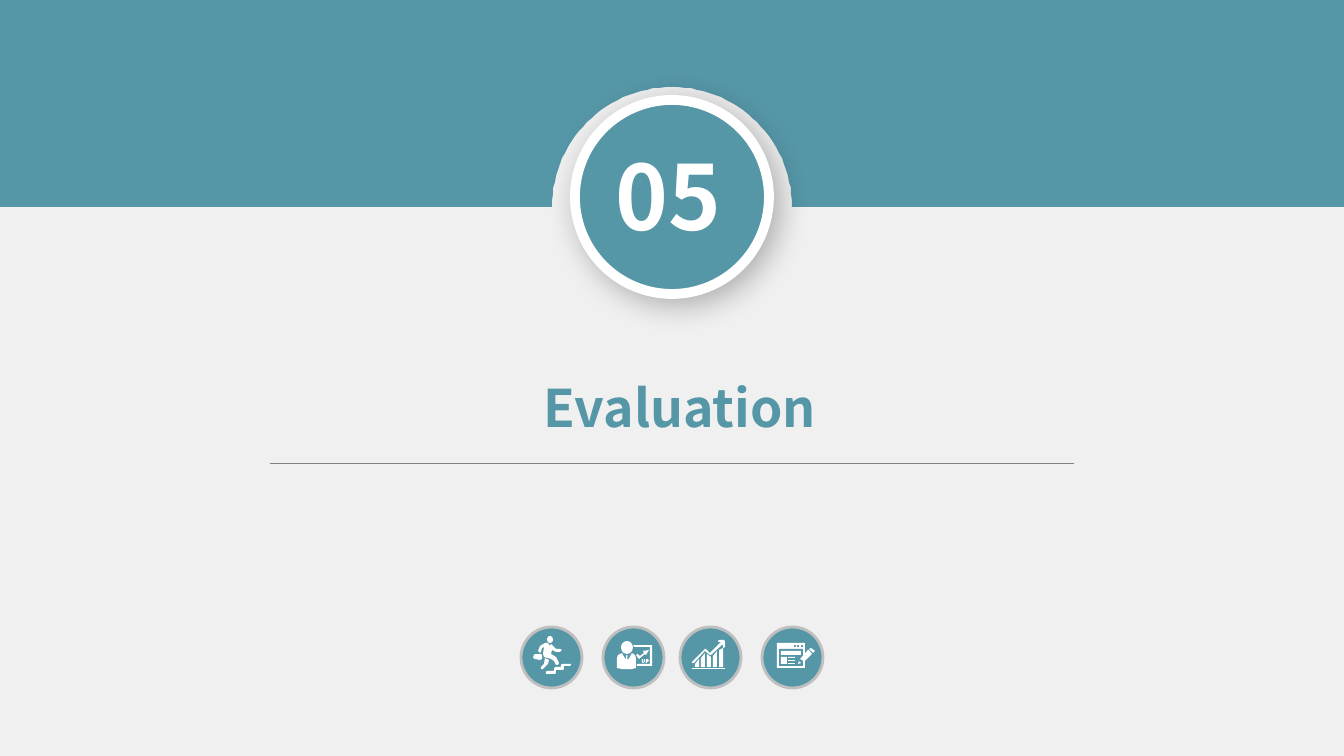
import math

from lxml import etree
from pptx import Presentation
from pptx.dml.color import RGBColor
from pptx.enum.shapes import MSO_CONNECTOR, MSO_SHAPE
from pptx.enum.text import MSO_ANCHOR, PP_ALIGN
from pptx.oxml.ns import qn
from pptx.util import Pt

SLIDE_WIDTH, SLIDE_HEIGHT = 1344, 756
SCALE = 12192000 / SLIDE_WIDTH
TEAL = RGBColor(0x55, 0x96, 0xA7)
WHITE = RGBColor(0xFF, 0xFF, 0xFF)
BACKGROUND = RGBColor(0xF0, 0xF0, 0xF0)
RING_GRAY = RGBColor(0xBF, 0xBF, 0xBF)
RULE_GRAY = RGBColor(0x80, 0x80, 0x80)
FONT = "Noto Sans CJK SC"
OVAL, RECTANGLE = MSO_SHAPE.OVAL, MSO_SHAPE.RECTANGLE
STRAIGHT = MSO_CONNECTOR.STRAIGHT
CENTER, MIDDLE = PP_ALIGN.CENTER, MSO_ANCHOR.MIDDLE

BADGE_TOP, BADGE_SIZE = 627, 61
STAIRS = [(26, 44), (33, 44), (33, 42), (34, 40), (40, 40), (40, 38), (41, 37), (50, 37), (50, 38),
          (49, 39), (43, 39), (43, 42), (42, 43), (35, 43), (35, 46), (34, 47), (25, 47), (25, 45)]
BRIEFCASE = [(14, 32), (19, 33), (21, 32), (21, 28), (20, 27), (14, 27), (13, 28), (12, 31)]
REAR_LEG = [(20, 40), (23, 37), (24, 31), (28, 33), (27, 37), (22, 42), (20, 42)]
RUNNER = [(30, 17), (32, 19), (35, 22), (39, 22), (41, 23), (39, 25), (35, 25), (31, 23), (30, 27),
          (35, 30), (38, 36), (37, 38), (35, 38), (33, 34), (30, 32), (23, 30), (22, 27), (23, 20),
          (21, 21), (20, 25), (19, 26), (17, 24), (19, 19), (24, 16), (27, 16), (29, 19)]
BOARD = [(30, 18), (31, 20), (47, 20), (47, 37), (34, 37), (34, 39), (49, 39), (49, 18)]
BOARD_ARROW = [(35, 27), (33, 28), (36, 32), (42, 27), (43, 28), (46, 23), (40, 24), (41, 26), (37, 29)]
SPEAKER = [(29, 26), (25, 33), (24, 30), (25, 29), (24, 28), (23, 29), (23, 33), (19, 26), (15, 28),
           (14, 31), (14, 41), (19, 42), (29, 42), (33, 41), (33, 31), (32, 28)]
LETTER_U = [(39, 32), (39, 35), (40, 36), (42, 35), (42, 32), (41, 32), (41, 35), (40, 35), (40, 32)]
LETTER_P = [(43, 32), (43, 36), (44, 36), (44, 35), (46, 34), (45, 32)]
BAR_TOPS = [(37, 32), (31, 26), (27, 30), (29, 24), (23, 21)]
TREND_ARROW = [(14, 36), (25, 24), (30, 28), (31, 28), (43, 17), (43, 20), (44, 21), (45, 20), (45, 14),
               (44, 13), (39, 13), (38, 14), (39, 15), (41, 15), (30, 26), (26, 22), (25, 22), (12, 35),
               (12, 36)]
PENCIL_TIP = [(37, 34), (36, 37), (39, 36)]
PENCIL_END = [(51, 26), (53, 24), (49, 21), (47, 22)]
PENCIL_BODY = [(47, 23), (46, 23), (39, 31), (38, 32), (40, 33), (41, 34), (42, 35), (50, 27)]


def px(length):
    return round(length * SCALE)


def paint(shape, fill, line=None, width=0):
    shape.shadow.inherit = False
    shape.fill.solid()
    shape.fill.fore_color.rgb = fill
    if line is None:
        shape.line.fill.background()
    else:
        shape.line.color.rgb = line
        shape.line.width = Pt(width)


def add_preset(shapes, kind, box, fill=WHITE, line=None, width=0):
    shape = shapes.add_shape(kind, *map(px, box))
    paint(shape, fill, line, width)
    return shape


def add_outline(shapes, points, fill=WHITE):
    builder = shapes.build_freeform(*points[0], scale=SCALE)
    builder.add_line_segments(points[1:], close=True)
    paint(builder.convert_to_shape(), fill)


def add_text(shapes, text, box, *, size, color):
    frame = shapes.add_textbox(*map(px, box)).text_frame
    frame.word_wrap = True
    frame.vertical_anchor = MIDDLE
    paragraph = frame.paragraphs[0]
    paragraph.alignment = CENTER
    run = paragraph.add_run()
    run.text = text
    run.font.name = FONT
    run.font.size = Pt(size)
    run.font.bold = True
    run.font.color.rgb = color
    properties = run.font._element
    etree.SubElement(properties, qn("a:ea")).set("typeface", FONT)


def add_rule(shapes, left, right, y):
    connector = shapes.add_connector(STRAIGHT, px(left), px(y), px(right), px(y))
    connector.line.color.rgb = RULE_GRAY
    connector.line.width = Pt(0.5)
    etree.SubElement(connector._element.spPr, qn("a:effectLst"))


def add_soft_shadow(shape):
    effects = shape._element.spPr.find(qn("a:effectLst"))
    shadow = etree.SubElement(effects, qn("a:outerShdw"), blurRad=str(Pt(22)), dist=str(Pt(6)),
                              dir="2700000", algn="tl", rotWithShape="0")
    color = etree.SubElement(shadow, qn("a:srgbClr"), val="000000")
    etree.SubElement(color, qn("a:alpha"), val="28000")


def add_band(shapes, bottom, center, radius):
    arch = [(center - radius * math.cos(math.radians(angle)),
             bottom - radius * math.sin(math.radians(angle))) for angle in range(0, 181, 3)]
    add_outline(shapes, [(0, 0), (0, bottom), *arch, (SLIDE_WIDTH, bottom), (SLIDE_WIDTH, 0)], TEAL)


def add_number(shapes, number):
    group = shapes.add_group_shape().shapes
    circle = add_preset(group, OVAL, (575, 100, 194, 194), TEAL, WHITE, 7)
    add_soft_shadow(circle)
    add_text(group, number, (595, 137, 146, 116), size=64, color=WHITE)


def add_badge(shapes, left, outlines=(), parts=()):
    group = shapes.add_group_shape().shapes
    add_preset(group, OVAL, (left, BADGE_TOP, BADGE_SIZE, BADGE_SIZE), TEAL, RING_GRAY, 2)
    for kind, (x, y, width, height), fill in parts:
        add_preset(group, kind, (left + x, BADGE_TOP + y, width, height), fill)
    for points in outlines:
        add_outline(group, [(left + x, BADGE_TOP + y) for x, y in points])


def add_badges(shapes):
    add_badge(shapes, 521, [STAIRS, BRIEFCASE, REAR_LEG, RUNNER], [(OVAL, (26, 9, 6, 7), WHITE)])
    add_badge(shapes, 603, [BOARD, BOARD_ARROW, SPEAKER, LETTER_U, LETTER_P],
              [(OVAL, (18, 14, 12, 13), WHITE)])

    bars = []
    for index, (left_top, right_top) in enumerate(BAR_TOPS):
        x = 15 + 6 * index
        bars.append([(x, 40), (x + 4, 40), (x + 4, right_top), (x, left_top)])
    add_badge(shapes, 680, [*bars, TREND_ARROW], [(RECTANGLE, (12, 41, 33, 1), WHITE)])

    window = [(RECTANGLE, (15, 16, 28, 25), WHITE), (RECTANGLE, (17, 22, 24, 17), TEAL),
              (RECTANGLE, (19, 24, 20, 4), WHITE), (RECTANGLE, (19, 30, 6, 7), WHITE)]
    window += [(OVAL, (x, 18, 2, 2), TEAL) for x in (32, 35, 39)]
    window += [(RECTANGLE, (26, y, 7, 1), WHITE) for y in (30, 33, 36)]
    add_badge(shapes, 762, [PENCIL_TIP, PENCIL_END, PENCIL_BODY], window)


def main():
    presentation = Presentation()
    presentation.slide_width = px(SLIDE_WIDTH)
    presentation.slide_height = px(SLIDE_HEIGHT)
    slide = presentation.slides.add_slide(presentation.slide_layouts[6])
    slide.background.fill.solid()
    slide.background.fill.fore_color.rgb = BACKGROUND
    shapes = slide.shapes
    add_band(shapes, bottom=207, center=672, radius=120)
    add_text(shapes, "Evaluation", (251, 368, 858, 77), size=37, color=TEAL)
    add_rule(shapes, 270, 1074, 463)
    add_badges(shapes)
    add_number(shapes, "05")
    presentation.save("out.pptx")


if __name__ == "__main__":
    main()
